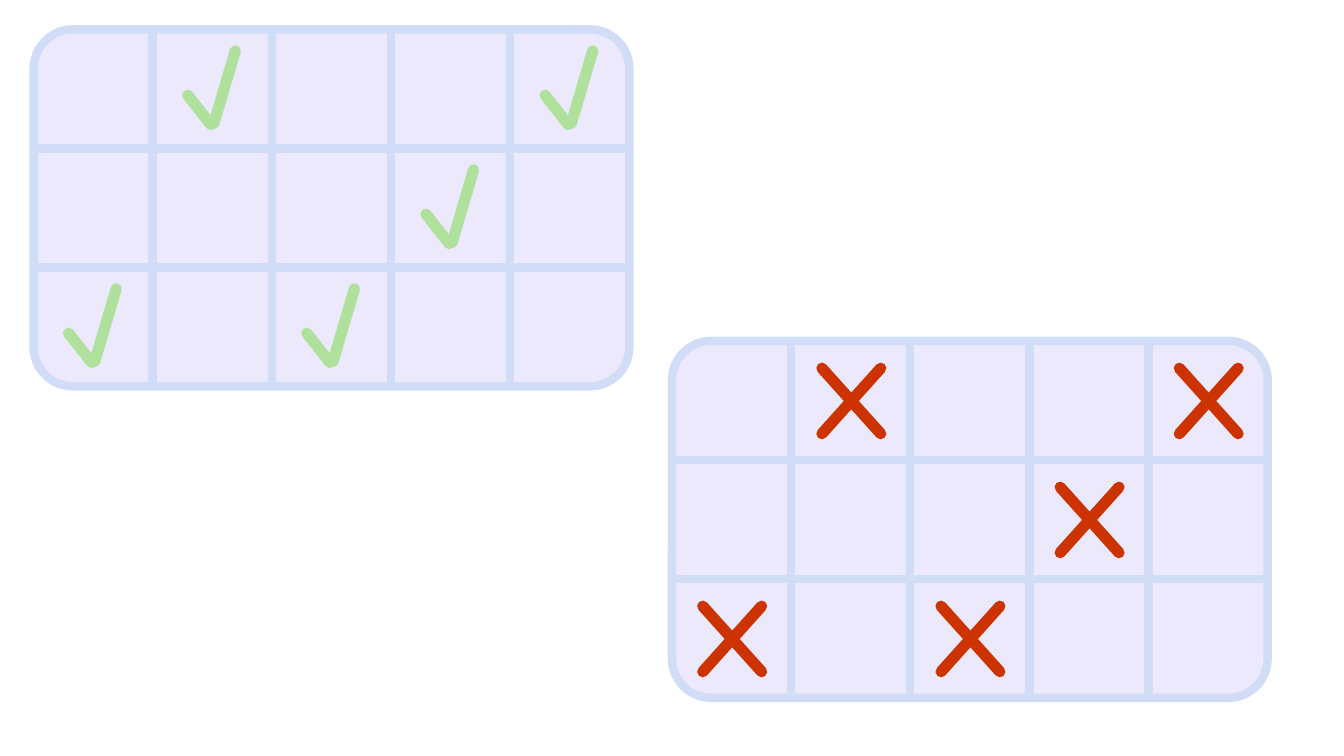
import pptx
import pptx.dml.color
import pptx.enum.shapes
import pptx.oxml
import pptx.oxml.ns
import pptx.util

Pt = pptx.util.Pt
RGBColor = pptx.dml.color.RGBColor

LAVENDER = RGBColor(0xEC, 0xE9, 0xFC)
PALE_BLUE = RGBColor(0xD1, 0xDD, 0xF7)
GREEN = RGBColor(0xAF, 0xE0, 0x9C)
RED = RGBColor(0xCC, 0x33, 0x00)

COLS, ROWS = 5, 3
CELL_W, CELL_H = 85.1, 85
OVERHANG_TOP, OVERHANG_BOTTOM = 2.5, 1
MARKED_CELLS = [(0, 2), (1, 0), (2, 2), (3, 1), (4, 0)]
TICK = [(41.5, 68, 25, 47), (43.7, 67.2, 59, 15.3)]
CROSS = [(22, 66.3, 64, 19.5), (64, 66.3, 22, 19.5)]


class BoardSlide:
    grid_width = 6
    mark_width = 8

    def __init__(self, prs):
        self.s = prs.slides.add_slide(prs.slide_layouts[6])

    def panel(self, shapes, x, y, w, h):
        sp = shapes.add_shape(
            pptx.enum.shapes.MSO_SHAPE.ROUNDED_RECTANGLE, Pt(x), Pt(y), Pt(w), Pt(h))
        sp.adjustments[0] = 0.11
        sp.shadow.inherit = False
        sp.fill.solid()
        sp.fill.fore_color.rgb = LAVENDER
        sp.line.color.rgb = PALE_BLUE
        sp.line.width = Pt(self.grid_width)

    def line(self, shapes, x1, y1, x2, y2, color, width):
        c = shapes.add_connector(
            pptx.enum.shapes.MSO_CONNECTOR.STRAIGHT, Pt(x1), Pt(y1), Pt(x2), Pt(y2))
        c.line.color.rgb = color
        c.line.width = Pt(width)
        sp_pr = c._element.spPr
        sp_pr.append(pptx.oxml.parse_xml(
            f'<a:effectLst {pptx.oxml.ns.nsdecls("a")}/>'))
        return c

    def mark(self, shapes, x, y, strokes, color):
        for x1, y1, x2, y2 in strokes:
            c = self.line(shapes, x + x1, y + y1, x + x2, y + y2,
                          color, self.mark_width)
            c.line._get_or_add_ln().set("cap", "rnd")

    def board(self, x, y, strokes, color):
        shapes = self.s.shapes.add_group_shape().shapes
        w, h = COLS * CELL_W, ROWS * CELL_H
        self.panel(shapes, x, y, w, h)
        for col in range(1, COLS):
            cx = x + col * CELL_W
            self.line(shapes, cx, y - OVERHANG_TOP, cx, y + h + OVERHANG_BOTTOM,
                      PALE_BLUE, self.grid_width)
        for row in range(1, ROWS):
            cy = y + row * CELL_H
            self.line(shapes, x, cy, x + w, cy, PALE_BLUE, self.grid_width)
        for col, row in MARKED_CELLS:
            self.mark(shapes, x + col * CELL_W, y + row * CELL_H, strokes, color)


def main():
    prs = pptx.Presentation()
    prs.slide_width, prs.slide_height = Pt(960), Pt(540)
    slide = BoardSlide(prs)
    slide.board(24, 21, TICK, GREEN)
    slide.board(480, 243.5, CROSS, RED)
    prs.save("out.pptx")


if __name__ == "__main__":
    main()
